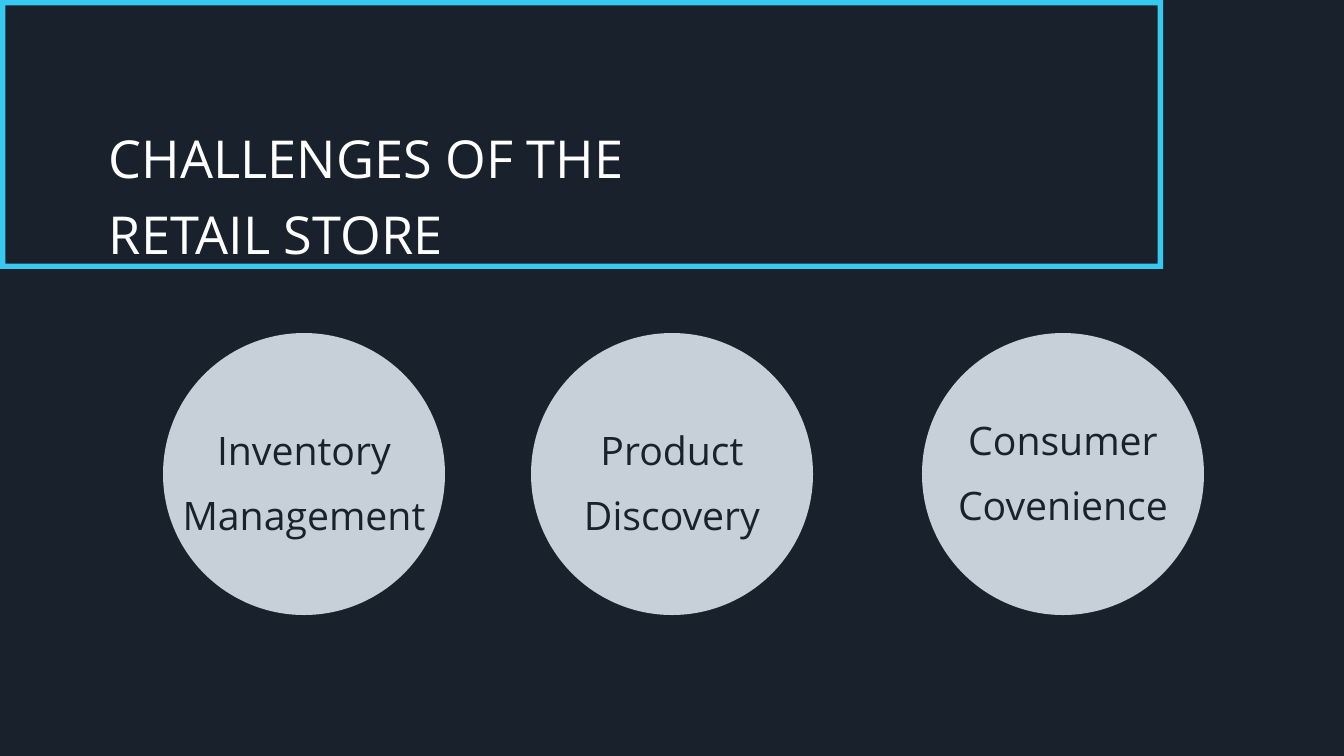
from pptx import Presentation
from pptx.dml.color import RGBColor
from pptx.enum.shapes import MSO_SHAPE
from pptx.enum.text import MSO_AUTO_SIZE, PP_ALIGN
from pptx.util import Inches, Pt

PX = Inches(20) / 1344
NAVY = RGBColor(0x19, 0x22, 0x2C)
CYAN = RGBColor(0x37, 0xC9, 0xEF)
GREY = RGBColor(0xC7, 0xD0, 0xD8)
WHITE = RGBColor(0xFF, 0xFF, 0xFF)

presentation = Presentation()
presentation.slide_width = Inches(20)
presentation.slide_height = Inches(11.25)
slide = presentation.slides.add_slide(presentation.slide_layouts[6])
slide.background.fill.solid()
slide.background.fill.fore_color.rgb = NAVY


def add_filled(kind, left, top, width, height, color):
    shape = slide.shapes.add_shape(kind, *(round(n * PX) for n in (left, top, width, height)))
    shape.shadow.inherit = False
    shape.fill.solid()
    shape.fill.fore_color.rgb = color
    shape.line.fill.background()
    return shape


def add_label(text, left, top, width, height, size, color, spacing, align):
    box = slide.shapes.add_textbox(*(round(n * PX) for n in (left, top, width, height)))
    frame = box.text_frame
    frame.word_wrap = True
    frame.auto_size = MSO_AUTO_SIZE.SHAPE_TO_FIT_TEXT
    frame.margin_left = frame.margin_right = frame.margin_top = frame.margin_bottom = 0
    frame.text = text
    paragraph = frame.paragraphs[0]
    paragraph.alignment = align
    paragraph.line_spacing = spacing
    font = paragraph.runs[0].font
    font.name = "Open Sans"
    font.size = Pt(size)
    font.color.rgb = color


# Framed title
title_frame = add_filled(MSO_SHAPE.FRAME, 0, 0, 1163, 269, CYAN)
title_frame.adjustments[0] = 0.02
add_label("CHALLENGES OF THE RETAIL STORE", 109, 114, 684, 125, 56, WHITE, 1.2, PP_ALIGN.LEFT)

# Challenge circles, each with a centred label
DIAMETER = 282
LABEL_WIDTH = 260
challenges = [
    ("Inventory Management", 163, 407),
    ("Product Discovery", 531, 407),
    ("Consumer Covenience", 922, 397),
]
for challenge, left, label_top in challenges:
    add_filled(MSO_SHAPE.OVAL, left, 333, DIAMETER, DIAMETER, GREY)
    add_label(challenge, left + (DIAMETER - LABEL_WIDTH) / 2, label_top, LABEL_WIDTH, 108,
              42, NAVY, 1.4, PP_ALIGN.CENTER)

presentation.save("out.pptx")
